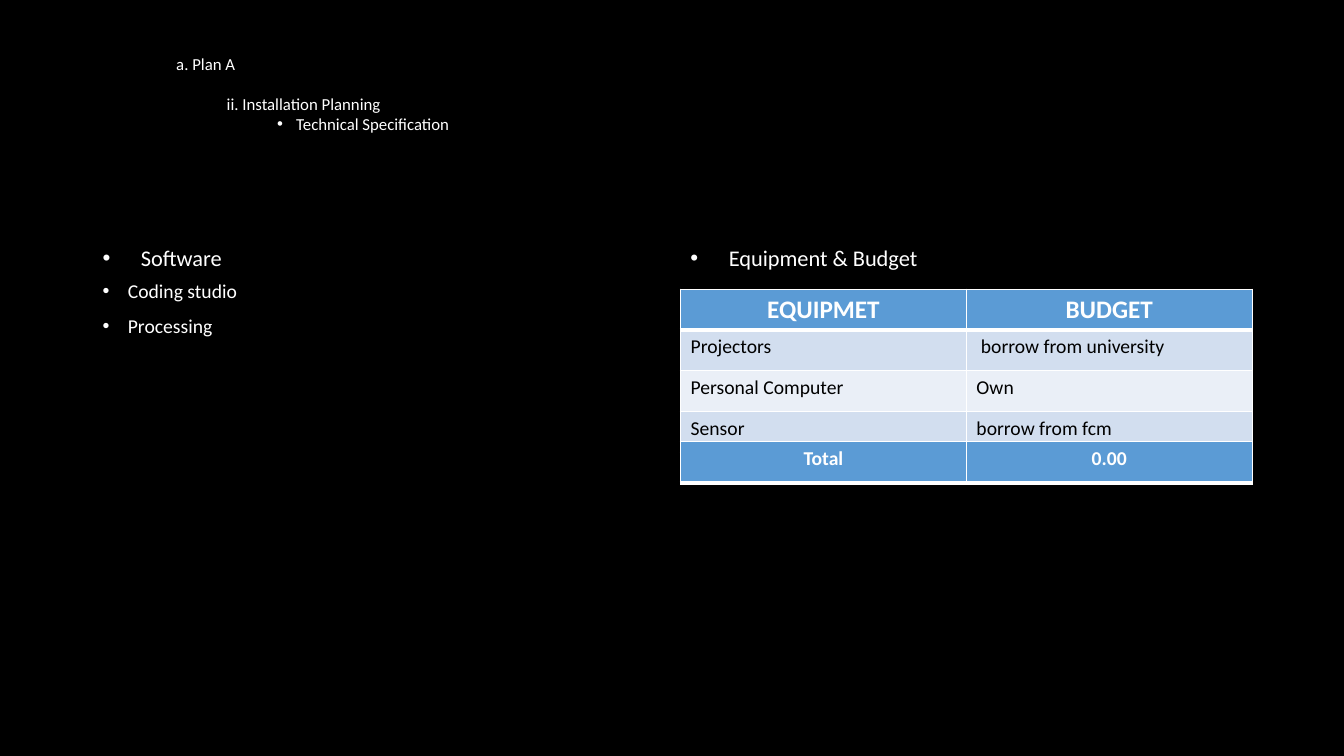
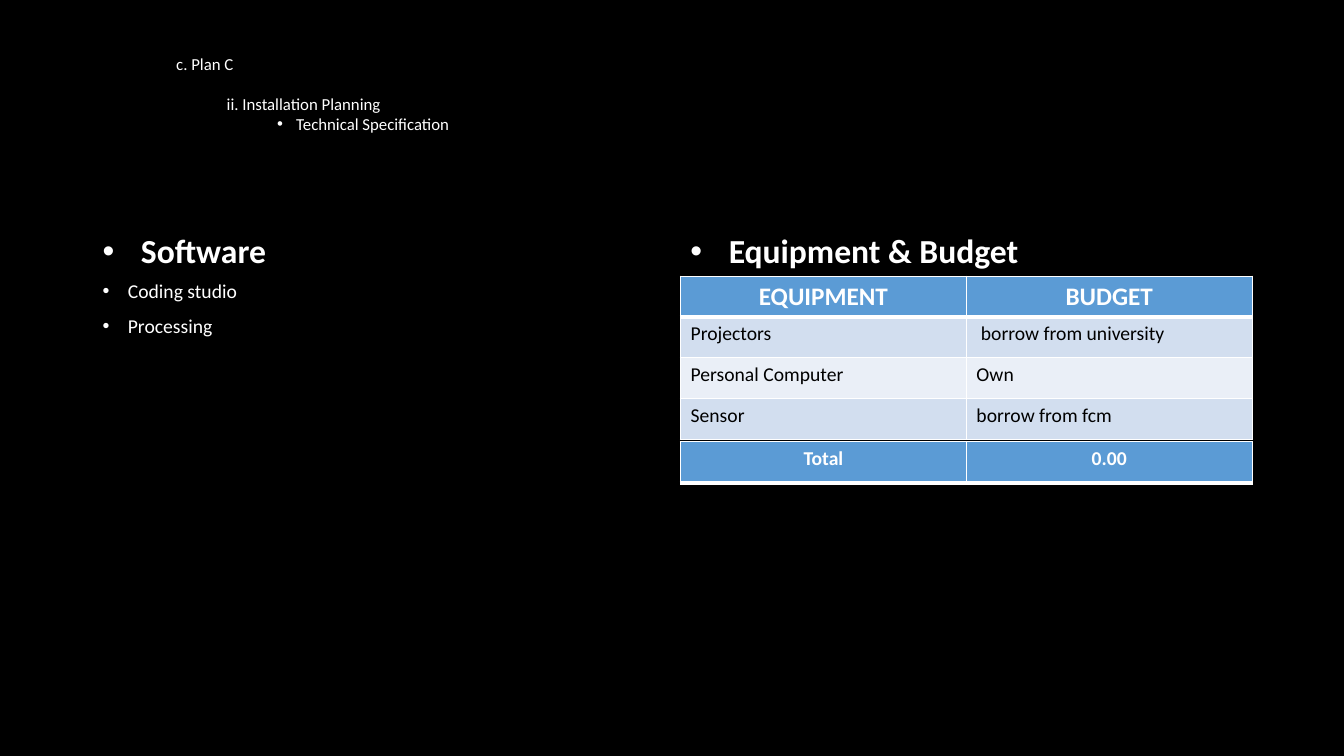
from lxml import etree
from pptx import Presentation
from pptx.dml import color
from pptx.enum import text
from pptx.oxml import ns
from pptx.util import Inches, Pt

FONT = "Calibri"
BLACK, WHITE = "000000", "FFFFFF"
BLUE, BAND, PALE = "5B9BD5", "D2DEEF", "EAEFF7"
LEFT, RIGHT = 0.92, 6.75
COLUMN_WIDTH = 5.67
HEADING_TOP, HEADING_HEIGHT = 1.84, 0.9
BODY_TOP = HEADING_TOP + HEADING_HEIGHT
BULLET_SPACING = {"line_spacing": 0.9, "space_before": Pt(10)}

SOFTWARE = ["Coding studio", "Processing"]
EQUIPMENT = [
    ("Projectors", " borrow from university"),
    ("Personal Computer", "Own"),
    ("Sensor", "borrow from fcm"),
]
PAGES = [
    {"plan": "a. Plan A", "header": "EQUIPMET", "size": 16, "bold": False, "table_top": 2.87},
    {"plan": "c. Plan C", "header": "EQUIPMENT", "size": 24, "bold": True, "table_top": 2.74},
]


def rgb(value):
    return color.RGBColor.from_string(value)


def apply(target, formats):
    for name, value in formats.items():
        setattr(target, name, value)


def write(para, words, size, ink=WHITE, bold=False):
    span = para.add_run()
    span.text = words
    apply(span.font, {"name": FONT, "size": Pt(size), "bold": bold})
    span.font.color.rgb = rgb(ink)


def indent(para, margin, hanging=0):
    properties = para._p.get_or_add_pPr()
    properties.set("marL", str(Inches(margin)))
    properties.set("indent", str(-Inches(hanging)))
    if hanging:
        etree.SubElement(properties, ns.qn("a:buFont"), typeface="Arial")
        etree.SubElement(properties, ns.qn("a:buChar"), char="•")


def add_frame(page, left, top, width, height, **formats):
    box = page.shapes.add_textbox(*map(Inches, (left, top, width, height)))
    apply(box.text_frame, {"word_wrap": True, **formats})
    return box.text_frame


def add_paragraphs(frame, count):
    return [frame.paragraphs[0]] + [frame.add_paragraph() for _ in range(count - 1)]


def add_outline(page, plan):
    frame = add_frame(page, 1.65, 0.48, 2.94, 1.21, word_wrap=False)
    title, stage, topic = add_paragraphs(frame, 3)
    stage.space_before = Pt(14.6)
    indent(stage, 0.5)
    indent(topic, 1.19, 0.19)
    for para, words in zip((title, stage, topic),
                           (plan, "ii. Installation Planning", "Technical Specification")):
        write(para, words, 12)


def add_bullets(frame, items, size, margin, bold=False):
    for para, words in zip(add_paragraphs(frame, len(items)), items):
        apply(para, BULLET_SPACING)
        indent(para, margin, margin)
        write(para, words, size, bold=bold)


def add_heading(page, left, words, size, bold):
    frame = add_frame(page, left, HEADING_TOP, COLUMN_WIDTH, HEADING_HEIGHT,
                      vertical_anchor=text.MSO_ANCHOR.BOTTOM)
    add_bullets(frame, [words], size, 0.38, bold)


def set_borders(cell, top, bottom):
    properties = cell._tc.get_or_add_tcPr()
    for place, (side, points) in enumerate((("L", 1), ("R", 1), ("T", top), ("B", bottom))):
        line = etree.Element(ns.qn(f"a:ln{side}"), w=str(Pt(points)))
        fill = etree.SubElement(line, ns.qn("a:solidFill"))
        etree.SubElement(fill, ns.qn("a:srgbClr"), val=WHITE)
        properties.insert(place, line)


def fill_cell(cell, words, fill, size, strong, top, bottom):
    cell.fill.solid()
    cell.fill.fore_color.rgb = rgb(fill)
    para = cell.text_frame.paragraphs[0]
    if strong:
        para.alignment = text.PP_ALIGN.CENTER
    write(para, words, size, WHITE if strong else BLACK, strong)
    set_borders(cell, top, bottom)


def add_grid(page, top, height, rows, head_size):
    frame = page.shapes.add_table(len(rows), 2, *map(Inches, (RIGHT, top, COLUMN_WIDTH, height)))
    grid = frame.table
    apply(grid, {"first_row": False, "horz_banding": False})
    for index, row in enumerate(rows):
        strong = index == 0
        fill = BLUE if strong else BAND if index % 2 else PALE
        size = head_size if strong else 14
        for column, words in enumerate(row):
            fill_cell(grid.cell(index, column), words, fill, size, strong,
                      3 if index == 1 else 1, 3 if strong else 1)


def add_page(deck, plan, header, size, bold, table_top):
    page = deck.slides.add_slide(deck.slide_layouts[6])
    page.background.fill.solid()
    page.background.fill.fore_color.rgb = rgb(BLACK)
    add_heading(page, LEFT, "Software", size, bold)
    add_bullets(add_frame(page, LEFT, BODY_TOP, COLUMN_WIDTH, 4.03), SOFTWARE, 14, 0.25)
    add_heading(page, RIGHT, "Equipment & Budget", size, bold)
    add_grid(page, table_top, 1.62, [(header, "BUDGET"), *EQUIPMENT], 18)
    add_outline(page, plan)
    add_grid(page, 4.38, 0.41, [("Total", "0.00")], 14)


def main():
    deck = Presentation()
    apply(deck, {"slide_width": Inches(13.33), "slide_height": Inches(7.5)})
    for content in PAGES:
        add_page(deck, **content)
    deck.save("out.pptx")


if __name__ == "__main__":
    main()
